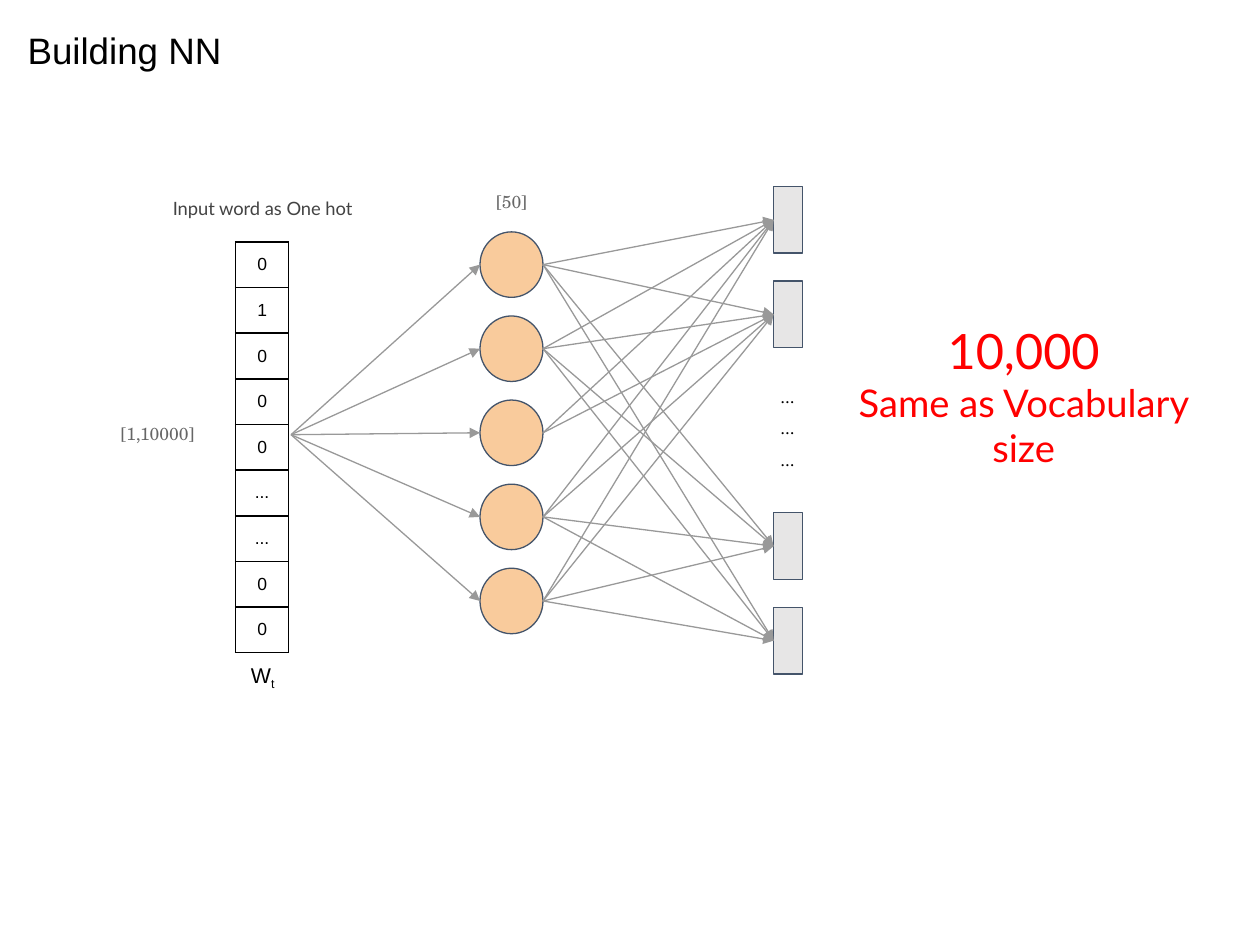
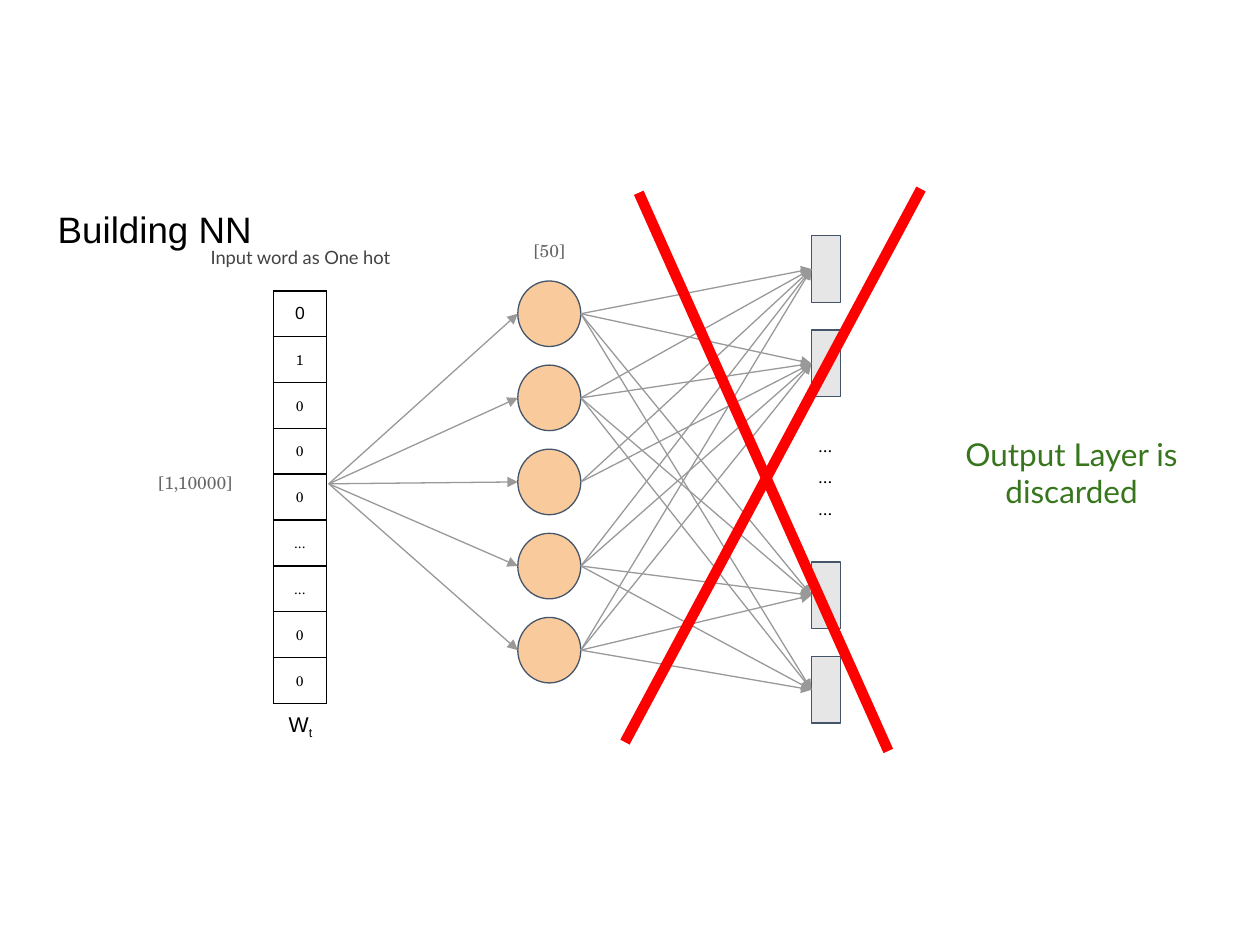
"""Build two slides on a one-hot network, with and without its output layer."""
from lxml import etree
from pptx import Presentation, util as u
from pptx.dml.color import RGBColor
from pptx.enum import shapes, text
from pptx.oxml.ns import qn

INK = {"black": "000000", "grey": "666666", "dark": "434343", "line": "999999",
       "edge": "44546A", "peach": "F9CB9C", "pale": "E7E6E6",
       "red": "FF0000", "green": "38761D"}
SANS, HUMAN, SERIF = "Arial", "Lato", "TeX Gyre Schola"
MID = text.PP_ALIGN.CENTER
WORD = ["0", "1", "0", "0", "0", "...", "...", "0", "0"]


def write(frame, rows, align=MID):
    """Fill a frame with paragraphs of (text, size, font, colour, baseline) runs."""
    frame.word_wrap = True
    frame.vertical_anchor = text.MSO_ANCHOR.MIDDLE
    frame.margin_left = frame.margin_right = u.Inches(0.1)
    frame.margin_top = frame.margin_bottom = u.Inches(0.1)
    for n, row in enumerate(rows):
        para = frame.paragraphs[0] if n == 0 else frame.add_paragraph()
        para.alignment = align
        for words, size, font, ink, base in row:
            run = para.add_run()
            run.text = words
            run.font.size = u.Pt(size)
            run.font.name = font
            run.font.color.rgb = RGBColor.from_string(INK[ink])
            if base:
                run._r.get_or_add_rPr().set("baseline", str(base))


def link(slide, x1, y1, x2, y2, ink="line", width=0.75, goal=None):
    """Draw a straight line; thin grey ones carry an arrowhead."""
    wire = slide.shapes.add_connector(
        shapes.MSO_CONNECTOR.STRAIGHT, *[u.Inches(v) for v in (x1, y1, x2, y2)])
    wire.line.color.rgb = RGBColor.from_string(INK[ink])
    wire.line.width = u.Pt(width)
    if ink == "line":
        etree.SubElement(wire.line._get_or_add_ln(), qn("a:tailEnd"), type="triangle")
    etree.SubElement(wire._element.spPr, qn("a:effectLst"))
    if goal is not None:
        wire.end_connect(goal, 1)


deck = Presentation()
deck.slide_width, deck.slide_height = u.Inches(10), u.Inches(7.5)

pages = [
    {"dx": 0, "dy": 0, "title": (0.12, 0.16), "cell": (10, SANS), "cross": [],
     "note": (6.46, 2.91, 3.33, 0.46,
              [[("10,000", 27.8, HUMAN, "red", 0)],
               [("Same as Vocabulary size", 21.8, HUMAN, "red", 0)]])},
    {"dx": 0.3, "dy": 0.39, "title": (0.36, 1.58), "cell": (8, SERIF),
     "cross": [(5.07, 1.53, 7.05, 5.96), (7.31, 1.5, 4.96, 5.89)],
     "note": (7.39, 3.52, 2.23, 0.46,
              [[("Output Layer is discarded", 18, HUMAN, "green", 0)]])},
]

for page in pages:
    slide = deck.slides.add_slide(deck.slide_layouts[6])
    dx, dy = page["dx"], page["dy"]

    grid = slide.shapes.add_table(
        len(WORD), 1, u.Inches(1.87 + dx), u.Inches(1.92 + dy),
        u.Inches(0.42), u.Inches(3.26)).table
    grid.first_row = grid.horz_banding = False
    for n, digit in enumerate(WORD):
        cell = grid.cell(n, 0)
        size, font = page["cell"] if n else (10, SANS)
        write(cell.text_frame, [[(digit, size, font, "black", 0)]])
        cell.vertical_anchor = text.MSO_ANCHOR.MIDDLE
        cell.margin_left = cell.margin_right = u.Inches(0.1)
        cell.margin_top = cell.margin_bottom = u.Inches(0.1)
        props = cell._tc.get_or_add_tcPr()
        for side in ("lnL", "lnR", "lnT", "lnB"):
            edge = etree.SubElement(props, qn("a:" + side), w=str(u.Pt(1)))
            fill = etree.SubElement(edge, qn("a:solidFill"))
            etree.SubElement(fill, qn("a:srgbClr"), val=INK["black"])
        cell.fill.background()

    discs = [(3.81, 1.84 + 2.67 * n / 4, 0.5, 0.52) for n in range(5)]
    bars = [(6.14, top + step, 0.23, 0.53) for top in (1.48, 4.07) for step in (0, 0.75)]
    nodes = []
    for kind, ink, spots in ((shapes.MSO_SHAPE.OVAL, "peach", discs),
                             (shapes.MSO_SHAPE.RECTANGLE, "pale", bars)):
        for x, y, w, h in spots:
            node = slide.shapes.add_shape(
                kind, u.Inches(x + dx), u.Inches(y + dy), u.Inches(w), u.Inches(h))
            node.shadow.inherit = False
            node.fill.solid()
            node.fill.fore_color.rgb = RGBColor.from_string(INK[ink])
            node.line.color.rgb = RGBColor.from_string(INK["edge"])
            node.line.width = u.Pt(0.75)
            nodes.append(node)

    for n, (x, y, w, h) in enumerate(discs):
        mid = y + h / 2 + dy
        link(slide, 2.31 + dx, 3.45 + dy, x + dx, mid)
        for k, bar in enumerate(bars):
            if n != 2 or k < 2:
                link(slide, x + w + dx, mid, bar[0] + dx, bar[1] + bar[3] / 2 + dy,
                     goal=nodes[len(discs) + k])

    tags = [
        (0.97, 1.42, 2.23, 0.46, [[("Input word as One hot", 10.5, HUMAN, "dark", 0)]]),
        (0.71, 3.23, 1.08, 0.42, [[("[1,10000]", 10, SERIF, "grey", 0)]]),
        (3.52, 1.39, 1.08, 0.42, [[("[50]", 10, SERIF, "grey", 0)]]),
        (1.74, 5.23, 0.69, 0.28, [[("W", 12.2, SANS, "black", 0),
                                   ("t", 12.2, SANS, "black", -25000)]]),
    ]
    tags += [(6.04, 2.98 + 0.25 * n, 0.42, 0.33, [[("...", 10, SERIF, "black", 0)]])
             for n in range(3)]
    tags = [(x + dx, y + dy, w, h, rows) for x, y, w, h, rows in tags]
    for x, y, w, h, rows in tags + [page["note"]]:
        box = slide.shapes.add_textbox(u.Inches(x), u.Inches(y), u.Inches(w), u.Inches(h))
        write(box.text_frame, rows)

    for ends in page["cross"]:
        link(slide, *ends, ink="red", width=6)

    x, y = page["title"]
    head = slide.shapes.add_textbox(u.Inches(x), u.Inches(y), u.Inches(8.78), u.Inches(0.47))
    write(head.text_frame, [[("Building NN", 21, SANS, "black", 0)]], text.PP_ALIGN.LEFT)
    head.text_frame.paragraphs[0].space_after = u.Pt(16)

deck.save("out.pptx")
